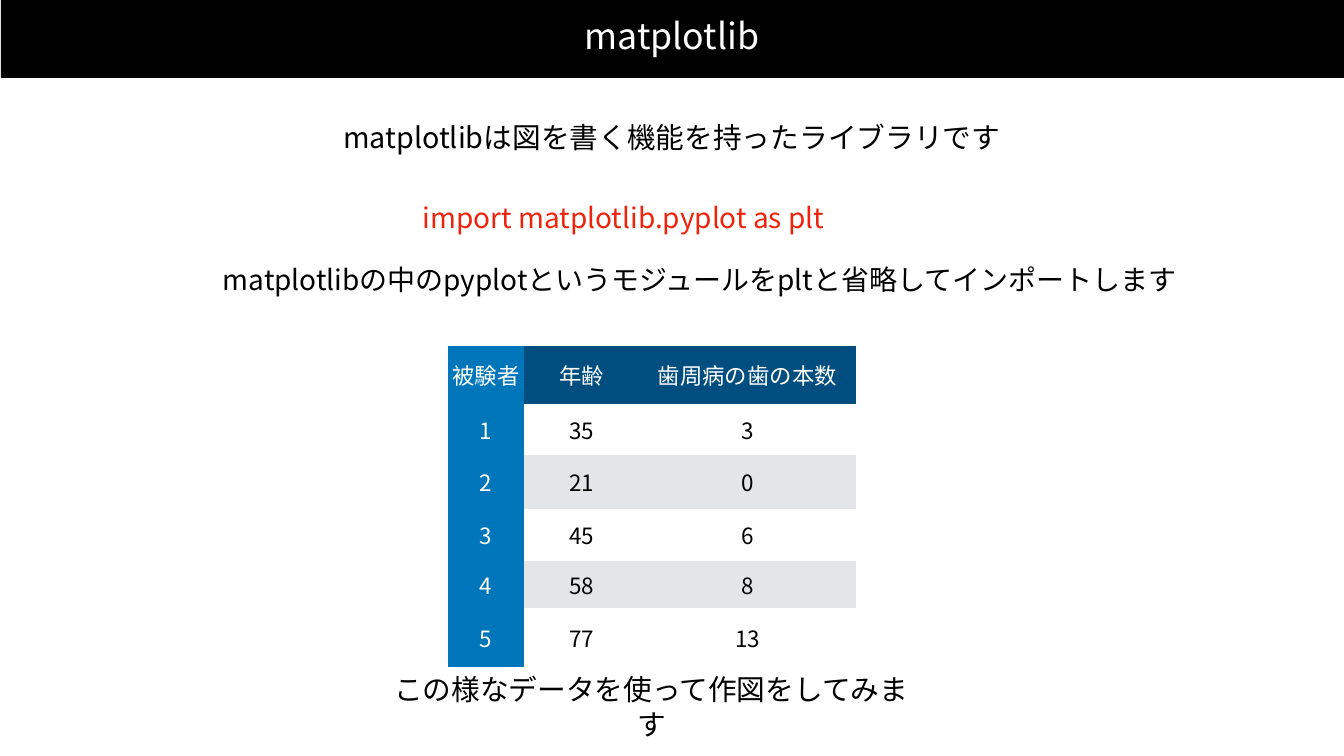
from lxml.etree import SubElement
from pptx import Presentation
from pptx.dml.color import RGBColor
from pptx.enum.shapes import MSO_SHAPE
from pptx.enum.text import MSO_ANCHOR, MSO_AUTO_SIZE, PP_ALIGN
from pptx.oxml.ns import qn
from pptx.util import Pt

PX = 18143  # EMU per px
INSET = 3 * PX
FONT = "Noto Sans CJK JP"
NO_GRID_STYLE = "{2D5ABB26-0587-4C30-8999-92F81FD0307C}"
COLORS = {
    "black": "000000",
    "white": "FFFFFF",
    "red": "EE230C",
    "header": "004D80",
    "side": "0076BA",
    "band": "E3E5E8",
}


def paint(fill, color):
    fill.solid()
    fill.fore_color.rgb = RGBColor.from_string(COLORS[color])


def write(frame, text, size, color, align=PP_ALIGN.CENTER):
    frame.text = text
    para = frame.paragraphs[0]
    para.alignment = align
    span = para.runs[0]
    span.font.size = Pt(size)
    paint(span.font.fill, color)
    span.font.name = FONT
    SubElement(span.font._element, qn("a:ea"), typeface=FONT)


deck = Presentation()
deck.slide_width, deck.slide_height = 1344 * PX, 756 * PX
page = deck.slides.add_slide(deck.slide_layouts[5])

# Title on a black band
band = page.shapes.add_shape(MSO_SHAPE.RECTANGLE, 1 * PX, 0, 1344 * PX, 78 * PX)
paint(band.fill, "black")
band.line.fill.background()
band.shadow.inherit = False
page.shapes._spTree.insert(2, band._element)  # behind the title

title = page.shapes.title
title.left, title.top, title.width, title.height = 410 * PX, 14 * PX, 524 * PX, 42 * PX
paint(title.fill, "black")
write(title.text_frame, "matplotlib", 51, "white")

# Explanations
explanations = [
    (340, 120, 664, 35, "matplotlibは図を書く機能を持ったライブラリです", 41, "black", PP_ALIGN.CENTER),
    (420, 200, 463, 34, "import matplotlib.pyplot as plt", 40, "red", PP_ALIGN.LEFT),
    (219, 262, 961, 34, "matplotlibの中のpyplotというモジュールをpltと省略してインポートします",
     40, "black", PP_ALIGN.CENTER),
    (377, 689, 549, 35, "この様なデータを使って作図をしてみます", 41, "black", PP_ALIGN.CENTER),
]
frames = [title.text_frame]
for left, top, width, height, text, size, color, align in explanations:
    box = page.shapes.add_textbox(left * PX, top * PX, width * PX, height * PX)
    write(box.text_frame, text, size, color, align)
    box.text_frame.word_wrap = False
    frames.append(box.text_frame)

for frame in frames:
    frame.auto_size = MSO_AUTO_SIZE.SHAPE_TO_FIT_TEXT
    frame.vertical_anchor = MSO_ANCHOR.MIDDLE
    frame.margin_left = frame.margin_right = INSET
    frame.margin_top = frame.margin_bottom = INSET

# Patient data
records = [
    ("被験者", "年齢", "歯周病の歯の本数"),
    (1, 35, 3),
    (2, 21, 0),
    (3, 45, 6),
    (4, 58, 8),
    (5, 77, 13),
]
column_widths = [76, 115, 217]
row_heights = [58, 51, 54, 52, 47, 59]
table = page.shapes.add_table(
    len(records), len(column_widths), 448 * PX, 346 * PX,
    sum(column_widths) * PX, sum(row_heights) * PX,
).table
table._tbl.tblPr.find(qn("a:tableStyleId")).text = NO_GRID_STYLE
table.first_row = table.horz_banding = False
for column, width in zip(table.columns, column_widths):
    column.width = width * PX
for r, (record, height) in enumerate(zip(records, row_heights)):
    table.rows[r].height = height * PX
    for c, value in enumerate(record):
        if c == 0:
            background = "side"
        elif r == 0:
            background = "header"
        else:
            background = "white" if r % 2 else "band"
        cell = table.cell(r, c)
        paint(cell.fill, background)
        cell.vertical_anchor = MSO_ANCHOR.MIDDLE
        cell.margin_left = cell.margin_right = INSET
        cell.margin_top = cell.margin_bottom = INSET
        write(cell.text_frame, str(value), 32, "white" if r == 0 or c == 0 else "black")

deck.save("out.pptx")
